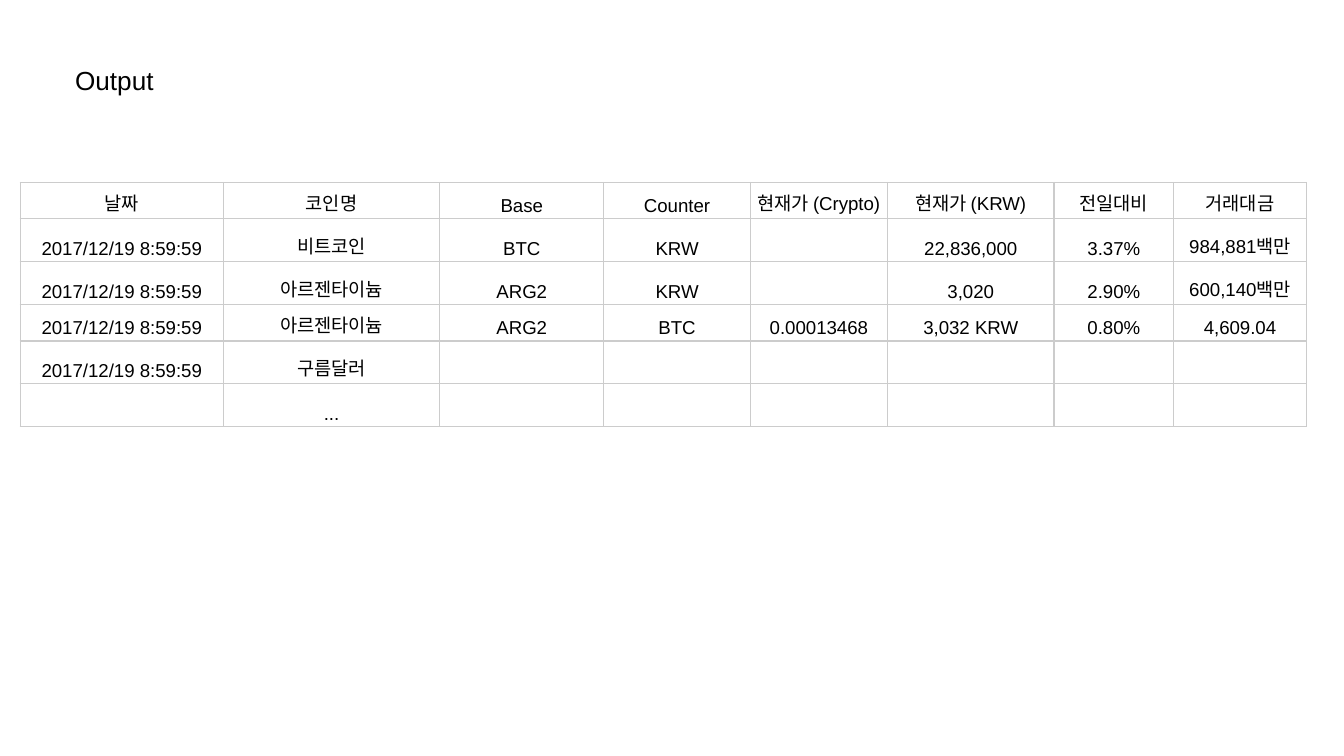
from lxml.etree import SubElement
from pptx import Presentation
from pptx.dml.color import RGBColor
from pptx.enum.text import MSO_ANCHOR as Anchor, PP_ALIGN as Align
from pptx.oxml.ns import qn
from pptx.util import Cm, Pt

FONT = "Arial"
INK = "000000"
GRID = "CCCCCC"
TIME = "2017/12/19 8:59:59"
COLUMN_WIDTHS = [3.84, 4.09, 3.1, 2.77, 2.59, 3.15, 2.26, 2.51]
ROW_HEIGHTS = [0.56, 0.69, 0.69] * 2
QUOTES = [
    ["날짜", "코인명", "Base", "Counter", "현재가 (Crypto)", "현재가 (KRW)",
     "전일대비", "거래대금"],
    [TIME, "비트코인", "BTC", "KRW", "", "22,836,000", "3.37%", "984,881백만"],
    [TIME, "아르젠타이늄", "ARG2", "KRW", "", "3,020", "2.90%", "600,140백만"],
    [TIME, "아르젠타이늄", "ARG2", "BTC", "0.00013468", "3,032 KRW", "0.80%",
     "4,609.04"],
    [TIME, "구름달러", "", "", "", "", "", ""],
    ["", "...", "", "", "", "", "", ""],
]


def color(hex_code):
    """Turn a hex string into a colour."""
    return RGBColor.from_string(hex_code)


def add_run(paragraph, words, size):
    """Append one styled run to a paragraph."""
    run = paragraph.add_run()
    run.text = words
    run.font.name = FONT
    run.font.size = Pt(size)
    run.font.color.rgb = color(INK)


def set_empty_font(paragraph, size):
    """Give a paragraph without runs its font and size."""
    ending = SubElement(paragraph._p, qn("a:endParaRPr"), sz=str(size * 100))
    SubElement(ending, qn("a:latin"), typeface=FONT)


def set_borders(cell):
    """Draw a thin grey line on all four sides of a cell."""
    properties = cell._tc.get_or_add_tcPr()
    for place, side in enumerate(("lnL", "lnR", "lnT", "lnB")):
        border = SubElement(properties, qn("a:" + side), w=str(Pt(0.75)))
        fill = SubElement(border, qn("a:solidFill"))
        SubElement(fill, qn("a:srgbClr"), val=GRID)
        properties.insert(place, border)


def fill_cell(cell, words):
    """Style one cell and write its value."""
    cell.fill.background()
    cell.vertical_anchor = Anchor.BOTTOM
    cell.margin_left = cell.margin_right = Cm(0.08)
    cell.margin_top = cell.margin_bottom = Cm(0.05)
    set_borders(cell)
    paragraph = cell.text_frame.paragraphs[0]
    if words:
        paragraph.alignment = Align.CENTER
        paragraph.line_spacing = 1.15
        add_run(paragraph, words, 10)
    else:
        set_empty_font(paragraph, 18)


def add_quote_table(slide):
    """Add the table of coin quotes."""
    table = slide.shapes.add_table(
        len(QUOTES), len(COLUMN_WIDTHS), Cm(0.38), Cm(3.45),
        Cm(sum(COLUMN_WIDTHS)), Cm(sum(ROW_HEIGHTS))).table
    table.first_row = table.horz_banding = False
    for column, width in zip(table.columns, COLUMN_WIDTHS):
        column.width = Cm(width)
    for row, height, quote in zip(table.rows, ROW_HEIGHTS, QUOTES):
        row.height = Cm(height)
        for cell, words in zip(row.cells, quote):
            fill_cell(cell, words)


def add_heading(slide, words):
    """Add the heading above the table."""
    frame = slide.shapes.add_textbox(
        Cm(1.17), Cm(0.97), Cm(10.95), Cm(1.27)).text_frame
    frame.word_wrap = True
    frame.margin_left = frame.margin_right = Cm(0.25)
    frame.margin_top = frame.margin_bottom = Cm(0.25)
    add_run(frame.paragraphs[0], words, 14)


def main():
    """Build the slide and save it."""
    deck = Presentation()
    deck.slide_width, deck.slide_height = Cm(25.4), Cm(14.29)
    slide = deck.slides.add_slide(deck.slide_layouts[6])
    add_quote_table(slide)
    add_heading(slide, "Output")
    deck.save("out.pptx")


main()
